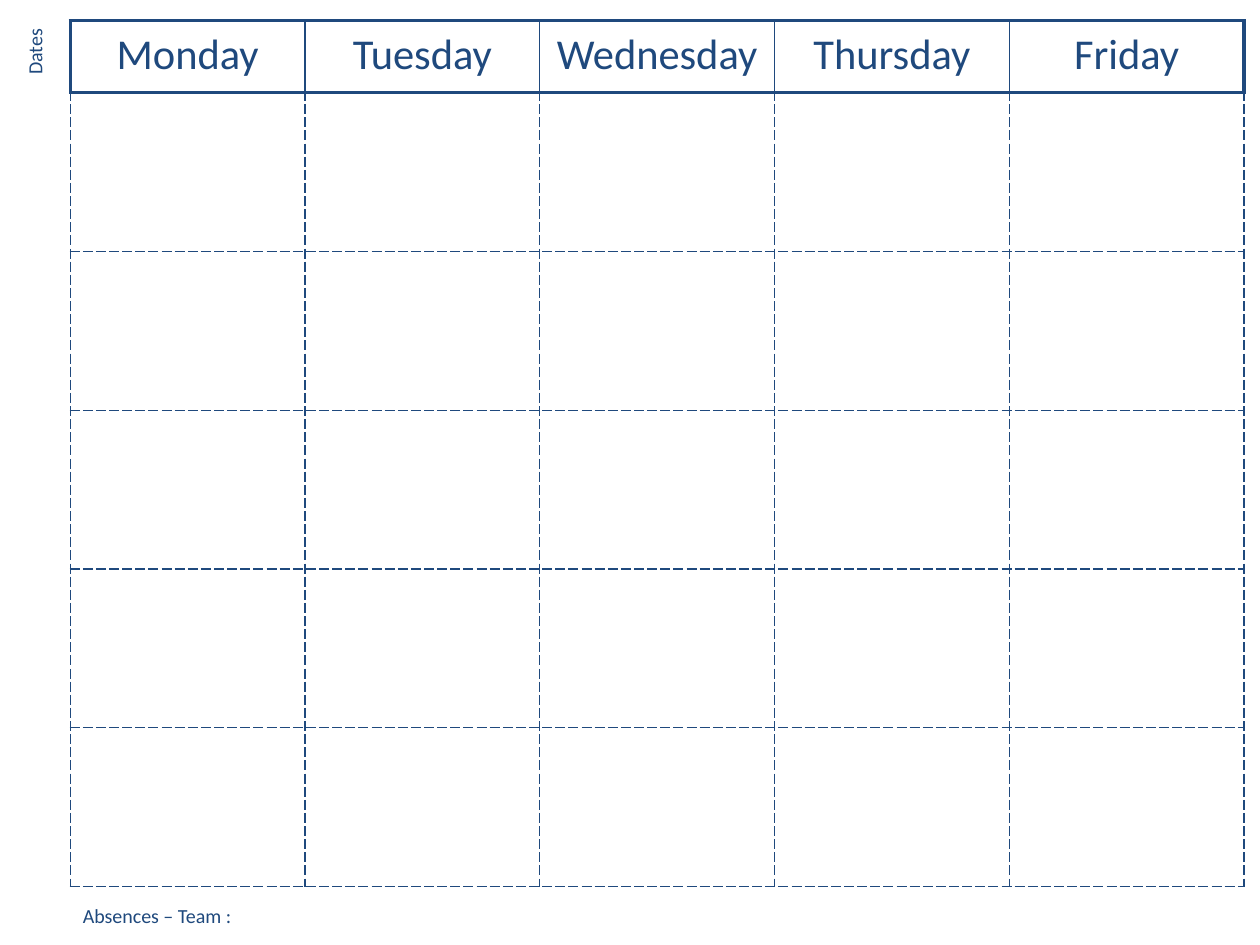
from dataclasses import dataclass

from lxml.etree import SubElement
from pptx import Presentation
from pptx.dml.color import RGBColor
from pptx.enum.text import MSO_AUTO_SIZE, PP_ALIGN
from pptx.oxml.ns import qn
from pptx.util import Pt


@dataclass(frozen=True)
class Theme:
    """Colours, font, type sizes and rule widths of the planner."""

    ink: str = "1F497D"
    paper: str = "FFFFFF"
    font: str = "Calibri"
    day_size: float = 34
    label_size: float = 16
    thin: float = 1
    thick: float = 3


THEME = Theme()
DAYS = ["Monday", "Tuesday", "Wednesday", "Thursday", "Friday"]
WEEKS = 5
DAY_WIDTH = 187.8
HEADER_HEIGHT = 57.6
WEEK_HEIGHT = 127


def apply_format(target, values):
    """Set every attribute named in values on target."""
    for attribute, value in values.items():
        setattr(target, attribute, value)


def write_text(frame, wording, size, align):
    """Write one themed line into a text frame."""
    line = frame.paragraphs[0]
    line.alignment = align
    words = line.add_run()
    words.text = wording
    apply_format(words.font, {"name": THEME.font, "size": Pt(size)})
    words.font.color.rgb = RGBColor.from_string(THEME.ink)


def add_border(cell, side, width, dash):
    """Draw one edge of a cell."""
    properties = cell._tc.get_or_add_tcPr()
    edge = SubElement(properties, qn(f"a:ln{side}"), w=str(Pt(width)))
    ink = SubElement(edge, qn("a:solidFill"))
    SubElement(ink, qn("a:srgbClr"), val=THEME.ink)
    SubElement(edge, qn("a:prstDash"), val=dash)


def style_cell(cell, week, day):
    """Give a cell its edges, margins and fill by its place in the grid."""
    header = week == 0
    heavy = {
        "L": header and day == 0,
        "R": header and day == len(DAYS) - 1,
        "T": week <= 1,
        "B": header,
    }
    for side, is_heavy in heavy.items():
        width = THEME.thick if is_heavy else THEME.thin
        add_border(cell, side, width, "solid" if header or is_heavy else "dash")
    apply_format(cell, {
        "margin_left": Pt(10), "margin_right": Pt(10),
        "margin_top": Pt(6.5), "margin_bottom": Pt(6.5),
    })
    cell.fill.solid()
    cell.fill.fore_color.rgb = RGBColor.from_string(THEME.paper)


def add_calendar(slide, left, top):
    """Add the weekday grid with its header row."""
    width = DAY_WIDTH * len(DAYS)
    height = HEADER_HEIGHT + WEEK_HEIGHT * WEEKS
    calendar = slide.shapes.add_table(
        WEEKS + 1, len(DAYS), Pt(left), Pt(top), Pt(width), Pt(height)
    ).table
    apply_format(calendar, {"first_row": False, "horz_banding": False})
    for column in calendar.columns:
        column.width = Pt(DAY_WIDTH)
    for week, row in enumerate(calendar.rows):
        row.height = Pt(WEEK_HEIGHT if week else HEADER_HEIGHT)
        for day, cell in enumerate(row.cells):
            style_cell(cell, week, day)
    for day, name in enumerate(DAYS):
        frame = calendar.cell(0, day).text_frame
        write_text(frame, name, THEME.day_size, PP_ALIGN.CENTER)


def add_label(slide, wording, box, align, rotation=0):
    """Add a small caption beside the grid."""
    label = slide.shapes.add_textbox(*map(Pt, box))
    label.rotation = rotation
    apply_format(label.text_frame, {
        "word_wrap": True, "auto_size": MSO_AUTO_SIZE.SHAPE_TO_FIT_TEXT,
        "margin_left": Pt(11.5), "margin_right": Pt(11.5),
        "margin_top": Pt(5.75), "margin_bottom": Pt(5.75),
    })
    write_text(label.text_frame, wording, THEME.label_size, align)


def main():
    """Build the weekly planner and save it."""
    planner = Presentation()
    apply_format(planner, {"slide_width": Pt(1008), "slide_height": Pt(756)})
    slide = planner.slides.add_slide(planner.slide_layouts[6])
    add_calendar(slide, 56.2, 16.6)
    add_label(slide, "Absences – Team : ", (54.7, 717.1, 298.8, 31), PP_ALIGN.LEFT)
    add_label(slide, "Dates", (-6.5, 25.9, 68.4, 31), PP_ALIGN.CENTER, 270)
    planner.save("out.pptx")


main()
